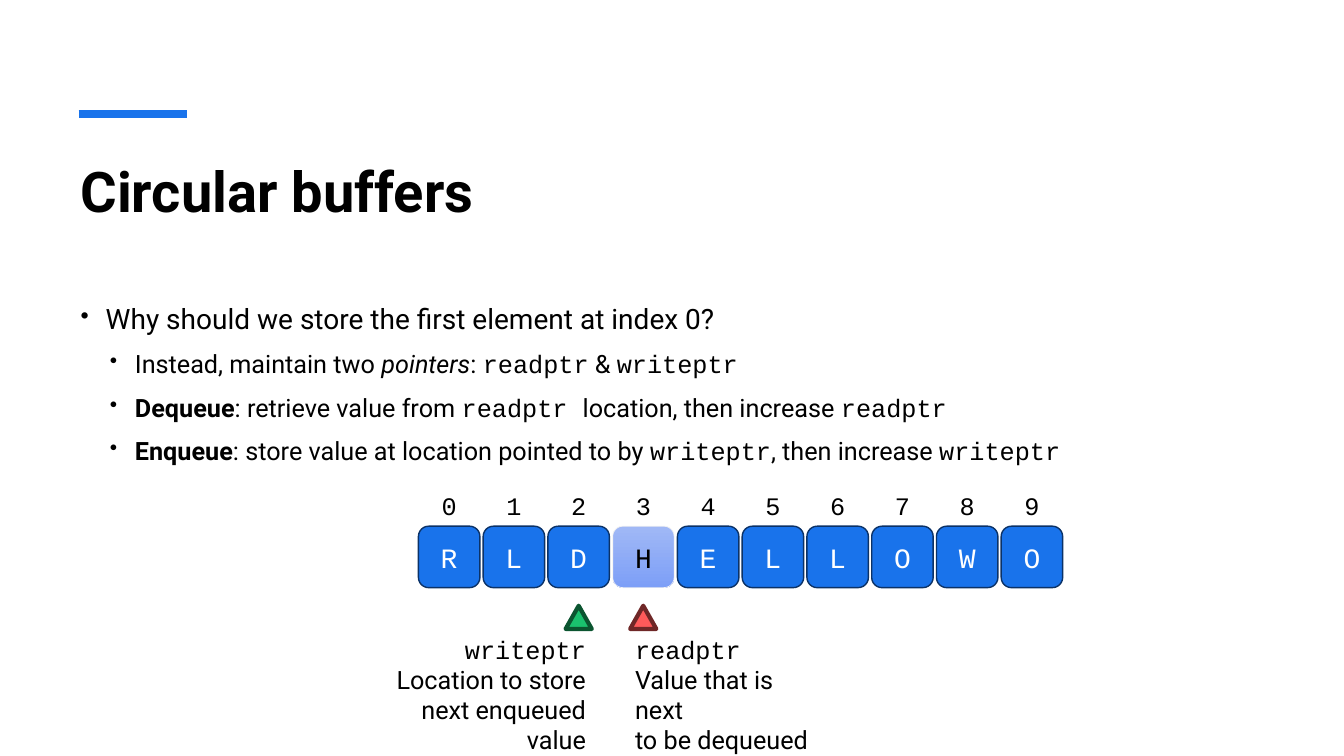
from lxml import etree
from pptx import Presentation, util as u
from pptx.dml.color import RGBColor
from pptx.enum import shapes, text
from pptx.oxml import ns

PX = 9144
BLUE = RGBColor(0x19, 0x73, 0xEB)
NAVY = RGBColor(0x0B, 0x32, 0x67)
BLACK = RGBColor(0, 0, 0)
WHITE = RGBColor(255, 255, 255)
PALE = RGBColor(0xF2, 0xF2, 0xF2)
LIGHT = RGBColor(0xA0, 0xB8, 0xF6)
DEEP = RGBColor(0x7D, 0x9F, 0xF7)
RED = RGBColor(0xFE, 0x5A, 0x5A)
MAROON = RGBColor(0x6F, 0x27, 0x27)
GREEN = RGBColor(0x1A, 0xC1, 0x6E)
PINE = RGBColor(0x0B, 0x55, 0x30)

SANS, MONO = "Roboto", "Courier New"
LEFT, MID, RIGHT = text.PP_ALIGN.LEFT, text.PP_ALIGN.CENTER, text.PP_ALIGN.RIGHT
CODE, BOLD, ITALIC = {"font": MONO}, {"bold": True}, {"italic": True}
POINTS = [
    (0, [("Why should we store the first element at index 0?", {})]),
    (1, [("Instead, maintain two ", {}), ("pointers", ITALIC), (": ", {}),
         ("readptr", CODE), (" & ", {}), ("writeptr", CODE)]),
    (1, [("Dequeue", BOLD), (": retrieve value from ", {}), ("readptr ", CODE),
         ("location, then increase ", {}), ("readptr", CODE)]),
    (1, [("Enqueue", BOLD), (": store value at location pointed to by ", {}),
         ("writeptr", CODE), (", then increase ", {}), ("writeptr", CODE)]),
]
LETTERS = "RLDHELLOWO"
READ = 3


def px(*nums):
    return [round(n * PX) for n in nums]


def write(para, words, size=18, font=SANS, color=BLACK, bold=False,
          italic=False, align=LEFT):
    para.alignment = align
    for i, line in enumerate(words.split("\n")):
        if i:
            para.add_line_break()
        run = para.add_run()
        run.text = line
        face = run.font
        face.size, face.name = u.Pt(size), font
        face.bold, face.italic = bold, italic
        face.color.rgb = color


def frame(parent, box, wrap=True):
    area = parent.add_textbox(*px(*box)).text_frame
    area.word_wrap = wrap
    return area


def solid(parent, kind, box, fill, edge, width):
    shape = parent.add_shape(kind, *px(*box))
    shape.shadow.inherit = False
    shape.fill.solid()
    shape.fill.fore_color.rgb = fill
    shape.line.color.rgb = edge
    shape.line.width = u.Pt(width)
    return shape


def header(parent, x, y, w, h):
    rule = parent.add_connector(shapes.MSO_CONNECTOR.STRAIGHT,
                                *px(x + 8, y - 37, x + 115, y - 37))
    rule.line.color.rgb = BLUE
    rule.line.width = u.Pt(6)
    etree.SubElement(rule._element.spPr, ns.qn("a:effectLst"))
    area = frame(parent, (x, y, w, h))
    write(area.paragraphs[0], "Circular buffers", size=40, bold=True)


def bullets(parent, x, y, w, h):
    area = frame(parent, (x, y, w, h))
    for i, (level, runs) in enumerate(POINTS):
        para = area.add_paragraph() if i else area.paragraphs[0]
        para.level = level
        para.line_spacing = 1.2
        para.space_before = u.Pt(5 if level else 10)
        for words, style in runs:
            write(para, words, size=18 if level else 20, **style)
        props = para._p.get_or_add_pPr()
        props.set("marL", str(px(54 if level else 25)[0]))
        props.set("indent", str(px(-25)[0]))
        etree.SubElement(props, ns.qn("a:buSzPct")).set("val", "87000")
        etree.SubElement(props, ns.qn("a:buChar")).set("char", "•")


def buffer(parent, x, y, w, side):
    step = (w - side) / (len(LETTERS) - 1)
    for i, letter in enumerate(LETTERS):
        left = x + i * step
        label = frame(parent, (left + 13, y - 40, 35, 40), wrap=False)
        write(label.paragraphs[0], str(i), font=MONO, align=MID)
        cell = solid(parent, shapes.MSO_SHAPE.ROUNDED_RECTANGLE,
                     (left, y, side, side), BLUE, NAVY, 1)
        if i == READ:
            cell.fill.gradient()
            cell.fill.gradient_angle = 270
            for stop, color in zip(cell.fill.gradient_stops, (LIGHT, DEEP)):
                stop.color.rgb = color
            cell.line.color.rgb = PALE
            cell.line.width = u.Pt(0.5)
        area = cell.text_frame
        area.margin_left = area.margin_right = 0
        area.margin_top = area.margin_bottom = 0
        area.vertical_anchor = text.MSO_ANCHOR.MIDDLE
        write(area.paragraphs[0], letter, size=20, font=MONO, align=MID,
              color=BLACK if i == READ else WHITE)


def pointer(parent, x, y, w, h, tip, name, note, fill, edge, align):
    group = parent.add_group_shape().shapes
    solid(group, shapes.MSO_SHAPE.ISOSCELES_TRIANGLE,
          (tip - 13, y - 23, 26, 23), fill, edge, 3)
    area = frame(group, (x, y, w, h))
    write(area.paragraphs[0], name, font=MONO, align=align)
    write(area.add_paragraph(), note, align=align)


def main():
    deck = Presentation()
    deck.slide_width, deck.slide_height = px(1333, 750)
    parts = deck.slides.add_slide(deck.slide_layouts[6]).shapes
    header(parts, 70, 150, 1191, 120)
    bullets(parts, 70, 288, 1191, 176)
    buffer(parts, 415, 522, 639, 61)
    pointer(parts, 620, 624, 206, 101, 638, "readptr",
            "Value that is next\nto be dequeued", RED, MAROON, LEFT)
    pointer(parts, 350, 624, 241, 101, 574, "writeptr",
            "Location to store\nnext enqueued value", GREEN, PINE, RIGHT)
    deck.save("out.pptx")


if __name__ == "__main__":
    main()
